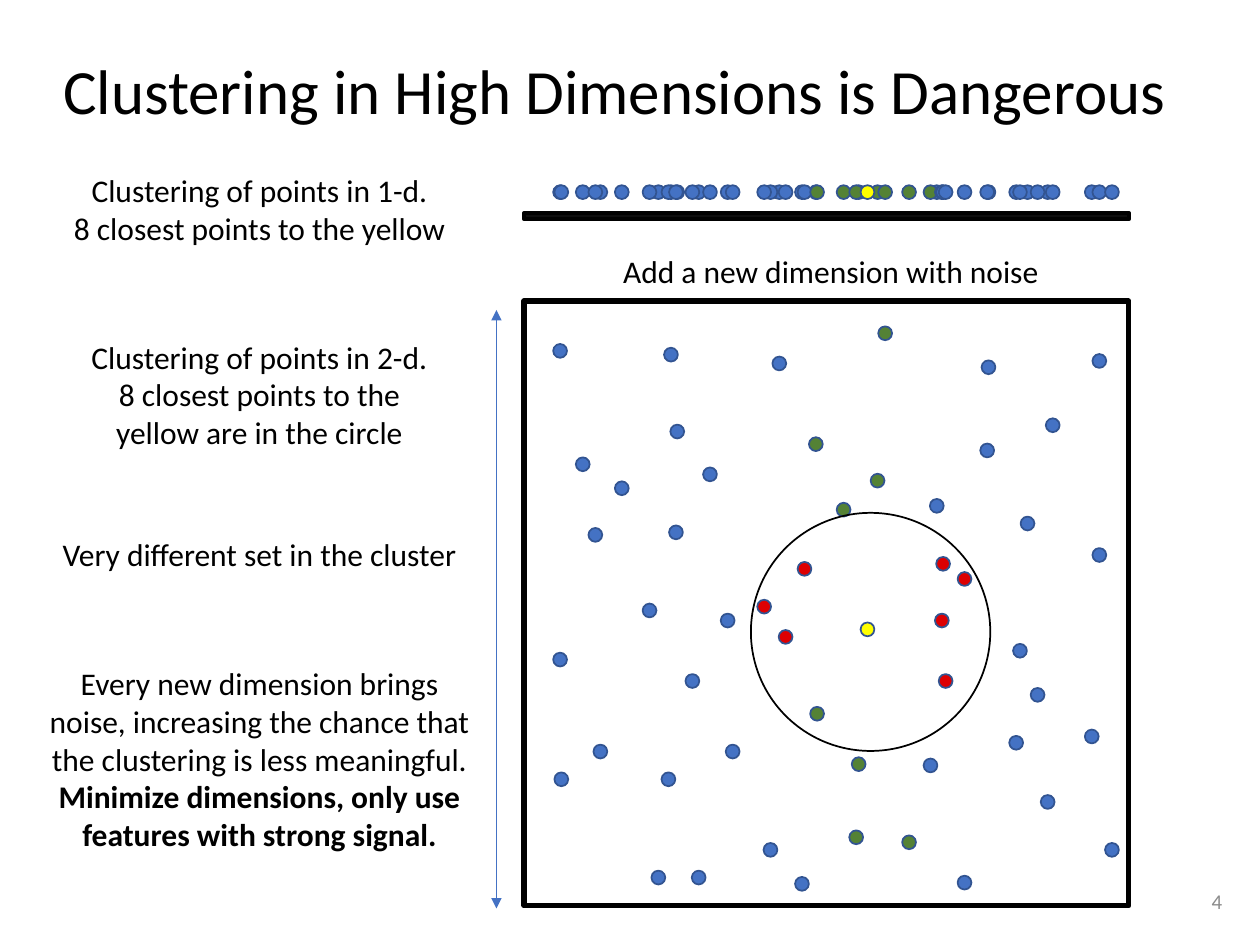
from dataclasses import dataclass

from lxml import etree
from pptx import Presentation
from pptx.dml.color import RGBColor
from pptx.enum.shapes import MSO_CONNECTOR, MSO_SHAPE
from pptx.enum.text import MSO_ANCHOR, MSO_AUTO_SIZE, PP_ALIGN
from pptx.oxml.ns import qn
from pptx.util import Inches, Pt

RECTANGLE, OVAL = MSO_SHAPE.RECTANGLE, MSO_SHAPE.OVAL
STRAIGHT = MSO_CONNECTOR.STRAIGHT
CENTER, RIGHT = PP_ALIGN.CENTER, PP_ALIGN.RIGHT
MIDDLE, TOP = MSO_ANCHOR.MIDDLE, MSO_ANCHOR.TOP
GROW, NO_AUTOFIT = MSO_AUTO_SIZE.SHAPE_TO_FIT_TEXT, MSO_AUTO_SIZE.NONE
TITLE_ONLY = 5


@dataclass(frozen=True)
class Theme:
    font: str = "Calibri"
    title_size: float = 36
    body_size: float = 18
    number_size: float = 12
    ink: str = "000000"
    axis: str = "0D0D0D"
    muted: str = "8C8C8C"
    blue: str = "4472C4"
    green: str = "548235"
    red: str = "DD0002"
    yellow: str = "FFFF00"
    outline: str = "325491"


THEME = Theme()

PLOT_LEFT, PLOT_TOP, PLOT_SIZE = 4.16, 2.39, 4.8
AXIS_TOP, AXIS_DOTS_TOP = 1.69, 1.47
DOT_SIZE = 0.11
NOTE_CENTER = 2.06
ARROW_X = 3.94

# Colour of each kind of point: (in the plane, on the line)
POINT_COLORS = {
    "far": (THEME.blue, THEME.blue),
    "near": (THEME.green, THEME.green),
    "circle": (THEME.red, THEME.blue),
    "line only": (THEME.blue, THEME.green),
    "plane only": (THEME.green, THEME.blue),
    "center": (THEME.yellow, THEME.yellow),
}

# Left and top of each point, by kind; later kinds lie in front
POINTS = {
    "far": [
        (8.1, 4.1), (8.61, 5.79), (8.26, 6.31), (5.72, 4.87), (8.18, 5.46),
        (5.17, 6.91), (5.76, 5.91), (4.71, 5.91), (8.3, 3.32), (8.67, 2.81),
        (7.79, 2.86), (6.13, 2.83), (5.27, 2.76), (4.39, 2.73), (7.6, 6.95),
        (6.31, 6.96), (6.06, 6.69), (5.49, 6.91), (8.77, 6.69), (8.01, 5.84),
        (4.4, 6.13), (7.38, 3.96), (7.78, 3.52), (5.58, 3.71), (8.67, 4.35),
        (5.25, 6.13), (5.32, 3.37), (5.44, 5.35), (4.39, 5.18), (4.57, 3.63),
        (5.1, 4.79), (5.31, 4.17), (4.67, 4.19), (4.88, 3.82), (8.04, 5.11),
    ],
    "line only": [(7.33, 6.02)],
    "plane only": [(6.42, 3.47)],
    "circle": [
        (7.42, 4.87), (6.33, 4.46), (7.6, 4.54), (7.43, 4.42),
        (7.45, 5.35), (6.01, 4.76), (6.18, 5),
    ],
    "near": [
        (7.16, 6.63), (6.76, 6.01), (6.91, 3.76), (6.64, 3.99),
        (6.97, 2.59), (6.43, 5.61), (6.74, 6.59),
    ],
    "center": [(6.83, 4.94)],
}

# Top, width, height, wrap, and (text, bold) paragraphs
NOTES = [
    (1.31, 3.18, 0.71, False, [("Clustering of points in 1-d.", False),
                               ("8 closest points to the yellow", False)]),
    (2.63, 3.06, 1.01, True, [("Clustering of points in 2-d.", False),
                              ("8 closest points to the yellow are in the circle", False)]),
    (4.2, 3.37, 0.4, False, [("Very different set in the cluster", False)]),
    (5.22, 3.69, 1.62, True, [
        ("Every new dimension brings noise, increasing the chance that "
         "the clustering is less meaningful.", False),
        ("Minimize dimensions, only use features with strong signal.", True)]),
]


def color(value):
    return RGBColor.from_string(value)


def add_run(paragraph, text, size, ink=THEME.ink, bold=False):
    run = paragraph.add_run()
    run.text = text
    run.font.name = THEME.font
    run.font.size = Pt(size)
    run.font.bold = bold
    run.font.color.rgb = color(ink)


def add_shape(shapes, kind, left, top, width, height, fill=None, line=THEME.ink, weight=1):
    shape = shapes.add_shape(kind, Inches(left), Inches(top), Inches(width), Inches(height))
    shape.shadow.inherit = False
    if fill:
        shape.fill.solid()
        shape.fill.fore_color.rgb = color(fill)
    else:
        shape.fill.background()
    shape.line.color.rgb = color(line)
    shape.line.width = Pt(weight)


def add_dot(shapes, left, top, fill):
    add_shape(shapes, OVAL, left, top, DOT_SIZE, DOT_SIZE, fill, THEME.outline)


def add_text(slide, left, top, width, height, paragraphs, wrap=True, size=THEME.body_size,
             ink=THEME.ink, align=CENTER, anchor=TOP, fit=GROW):
    box = slide.shapes.add_textbox(Inches(left), Inches(top), Inches(width), Inches(height))
    frame = box.text_frame
    frame.word_wrap = wrap
    frame.auto_size = fit
    frame.vertical_anchor = anchor
    for index, (text, bold) in enumerate(paragraphs):
        paragraph = frame.add_paragraph() if index else frame.paragraphs[0]
        paragraph.alignment = align
        add_run(paragraph, text, size, ink, bold)


def set_title(slide, text):
    title = slide.shapes.title
    title.left, title.top = Inches(0.4), Inches(0.57)
    title.width, title.height = Inches(9.19), Inches(0.35)
    frame = title.text_frame
    frame.auto_size = NO_AUTOFIT
    frame.vertical_anchor = MIDDLE
    paragraph = frame.paragraphs[0]
    paragraph.alignment = PP_ALIGN.LEFT
    paragraph.line_spacing = 0.9
    add_run(paragraph, text, THEME.title_size)


def add_plane(slide):
    shapes = slide.shapes.add_group_shape().shapes
    add_shape(shapes, RECTANGLE, PLOT_LEFT, PLOT_TOP, PLOT_SIZE, PLOT_SIZE, weight=3)
    for kind, points in POINTS.items():
        for left, top in points:
            add_dot(shapes, left, top, POINT_COLORS[kind][0])
    add_shape(shapes, OVAL, 5.96, 4.07, 1.9, 1.89)


def add_number_line(slide):
    """Project the points onto one axis, with one dot for each position."""
    shapes = slide.shapes.add_group_shape().shapes
    add_shape(shapes, RECTANGLE, PLOT_LEFT, AXIS_TOP, PLOT_SIZE, 0.05, THEME.axis, weight=2.25)
    projected = {left: POINT_COLORS[kind][1]
                 for kind, points in POINTS.items() for left, _ in points}
    for left, fill in projected.items():
        add_dot(shapes, left, AXIS_DOTS_TOP, fill)


def add_double_arrow(slide, x, top, bottom):
    arrow = slide.shapes.add_connector(STRAIGHT, Inches(x), Inches(top), Inches(x), Inches(bottom))
    arrow.line.color.rgb = color(THEME.blue)
    arrow.line.width = Pt(0.5)
    line = arrow.line._get_or_add_ln()
    for end in ("a:headEnd", "a:tailEnd"):
        etree.SubElement(line, qn(end), type="triangle")
    etree.SubElement(line.getparent(), qn("a:effectLst"))


def main():
    presentation = Presentation()
    presentation.slide_width, presentation.slide_height = Inches(10), Inches(7.5)
    slide = presentation.slides.add_slide(presentation.slide_layouts[TITLE_ONLY])
    set_title(slide, "Clustering in High Dimensions is Dangerous")
    add_text(slide, 8.13, 7.02, 1.67, 0.26, [("4", False)], size=THEME.number_size,
             ink=THEME.muted, align=RIGHT, anchor=MIDDLE, fit=NO_AUTOFIT)
    add_plane(slide)
    add_number_line(slide)
    for top, width, height, wrap, paragraphs in NOTES:
        add_text(slide, NOTE_CENTER - width / 2, top, width, height, paragraphs, wrap)
    add_text(slide, 4.81, 1.95, 3.57, 0.4, [("Add a new dimension with noise", False)])
    add_double_arrow(slide, ARROW_X, 2.46, 7.21)
    presentation.save("out.pptx")


if __name__ == "__main__":
    main()
